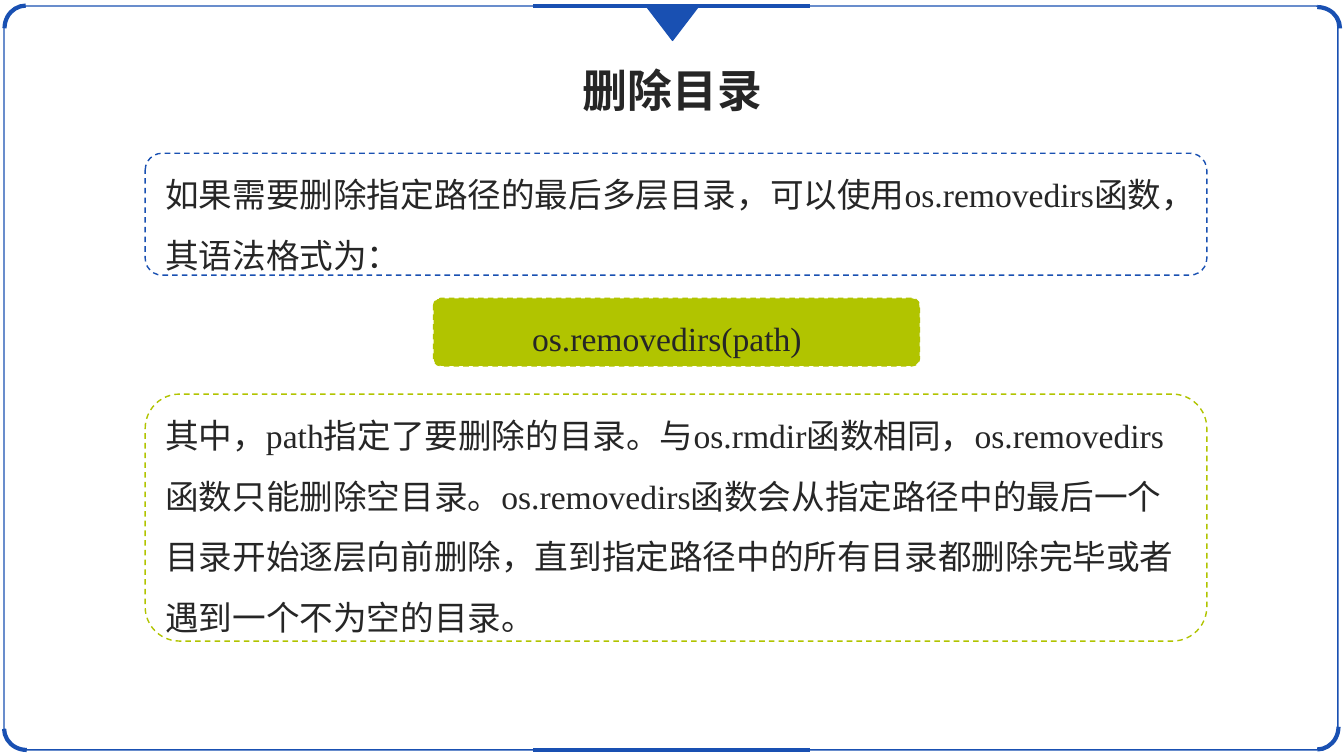
import pptx
import pptx.dml.color
import pptx.enum.dml
import pptx.enum.shapes
import pptx.enum.text
import pptx.oxml.ns
import pptx.util
from lxml import etree
from pptx.util import Inches

BLUE, LIME, INK = "1950B2", "B1C400", "262626"
SHAPES = pptx.enum.shapes.MSO_SHAPE
ALIGN = pptx.enum.text.PP_ALIGN


def rgb(hex_code):
    return pptx.dml.color.RGBColor.from_string(hex_code)


def apply(target, formats):
    for name, value in formats.items():
        setattr(target, name, value)


def add_figure(slide, kind, box, line, width=1, fill=None, adj=None,
               dashed=False, rotation=0):
    figure = slide.shapes.add_shape(kind, *map(Inches, box))
    figure.shadow.inherit = False
    figure.rotation = rotation
    if adj is not None:
        figure.adjustments[0] = adj
    if fill:
        figure.fill.solid()
        figure.fill.fore_color.rgb = rgb(fill)
    else:
        figure.fill.background()
    figure.line.color.rgb = rgb(line)
    figure.line.width = pptx.util.Pt(width)
    if dashed:
        figure.line.dash_style = pptx.enum.dml.MSO_LINE.DASH


def add_bar(slide, left, right, y):
    bar = slide.shapes.add_connector(
        pptx.enum.shapes.MSO_CONNECTOR.STRAIGHT,
        Inches(left), Inches(y), Inches(right), Inches(y))
    bar.line.color.rgb = rgb(BLUE)
    bar.line.width = pptx.util.Pt(3)
    etree.SubElement(bar._element.spPr, pptx.oxml.ns.qn("a:effectLst"))


def add_text(slide, box, text, size=24, bold=False, align=ALIGN.LEFT,
             spacing=1.5, wrap=True, right_inset=0.1):
    frame = slide.shapes.add_textbox(*map(Inches, box)).text_frame
    apply(frame, {"word_wrap": wrap, "margin_right": Inches(right_inset)})
    paragraph = frame.paragraphs[0]
    apply(paragraph, {"text": text, "alignment": align,
                      "line_spacing": spacing})
    font = paragraph.runs[0].font
    apply(font, {"name": "Times New Roman", "size": pptx.util.Pt(size),
                 "bold": bold})
    font.color.rgb = rgb(INK)


def add_frame(slide):
    add_figure(slide, SHAPES.ROUNDED_RECTANGLE, (0.04, 0.06, 13.23, 7.38),
               BLUE, adj=0.029)
    # Corner arcs: left, top, rotation
    for left, top, rotation in ((0.03, 0.07, 270), (0.04, 7.02, 180),
                                (12.84, 0.07, 0), (12.84, 7, 90)):
        add_figure(slide, SHAPES.ARC, (left, top, 0.45, 0.42), BLUE,
                   width=3, rotation=rotation)
    # Thick bars on the top and bottom edges
    for edge in (0.06, 7.44):
        add_bar(slide, 5.29, 8.03, edge)
    add_figure(slide, SHAPES.ISOSCELES_TRIANGLE, (6.41, 0.06, 0.52, 0.34),
               BLUE, fill=BLUE, rotation=180)


def main():
    deck = pptx.Presentation()
    apply(deck, {"slide_width": Inches(13.33), "slide_height": Inches(7.5)})
    slide = deck.slides.add_slide(deck.slide_layouts[6])

    add_frame(slide)

    # Title
    add_text(slide, (5.67, 0.57, 2, 0.64), "删除目录", size=32, bold=True,
             align=ALIGN.CENTER, spacing=1, wrap=False)

    # Introduction and explanation, each in a dashed outline
    add_text(slide, (1.54, 1.48, 10.3, 1.85),
             "如果需要删除指定路径的最后多层目录，可以使用os.removedirs函数，"
             "其语法格式为：")
    add_figure(slide, SHAPES.ROUNDED_RECTANGLE, (1.44, 1.52, 10.53, 1.21),
               BLUE, adj=0.139, dashed=True)
    add_text(slide, (1.54, 3.87, 10.3, 2.45),
             "其中，path指定了要删除的目录。与os.rmdir函数相同，"
             "os.removedirs函数只能删除空目录。os.removedirs函数会从指定路径"
             "中的最后一个目录开始逐层向前删除，直到指定路径中的所有目录都"
             "删除完毕或者遇到一个不为空的目录。")
    add_figure(slide, SHAPES.ROUNDED_RECTANGLE, (1.44, 3.91, 10.53, 2.45),
               LIME, adj=0.139, dashed=True)

    # Syntax
    add_figure(slide, SHAPES.ROUNDED_RECTANGLE, (4.3, 2.96, 4.82, 0.67),
               LIME, fill=LIME, adj=0.11, dashed=True)
    add_text(slide, (4.95, 2.9, 3.51, 0.63), "os.removedirs(path)",
             align=ALIGN.CENTER, right_inset=0.28)

    deck.save("out.pptx")


if __name__ == "__main__":
    main()
